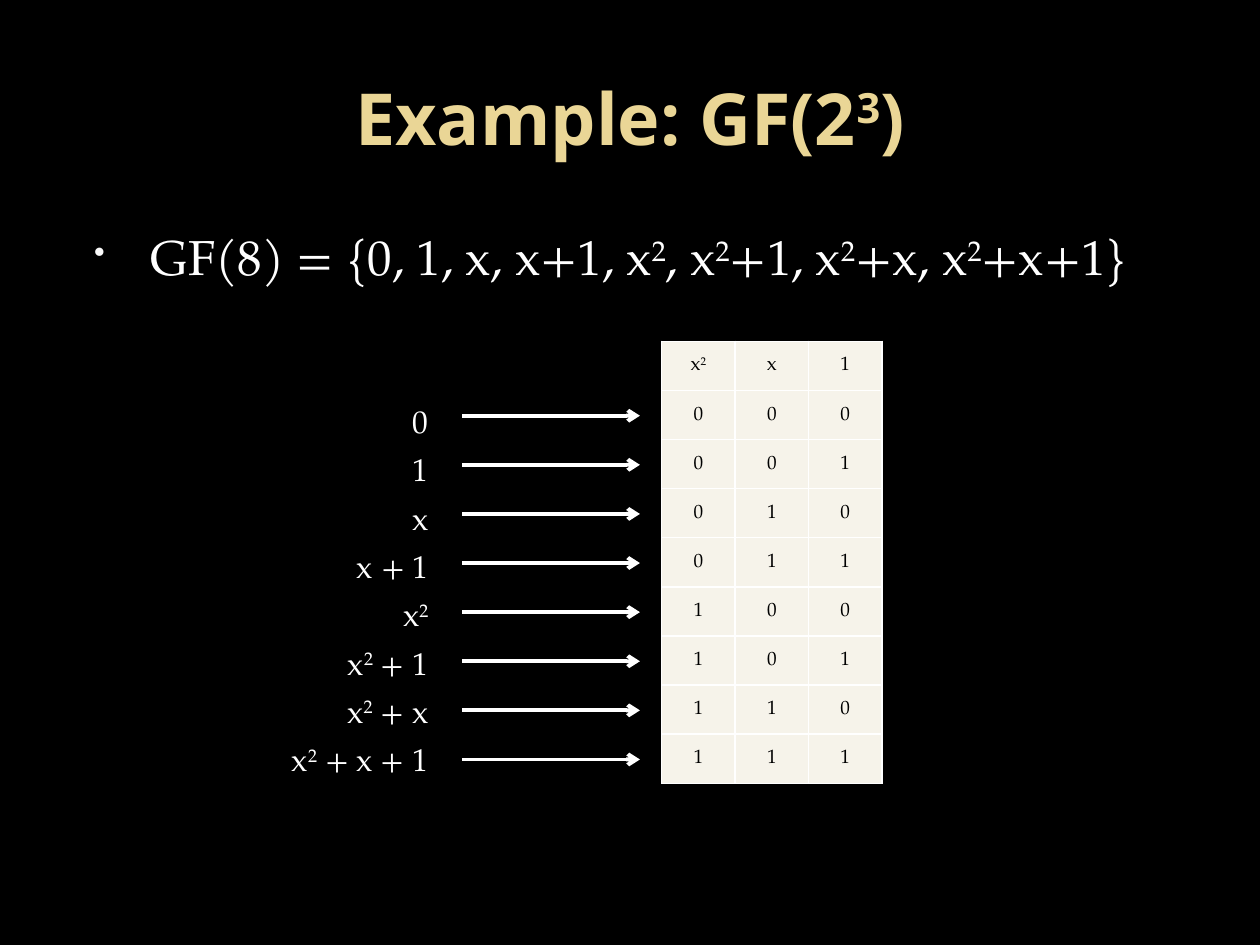
"""Build a slide that maps the elements of GF(8) to bit patterns."""
import itertools

import lxml.etree
import pptx
import pptx.dml.color
import pptx.enum.shapes
import pptx.enum.text
import pptx.oxml.ns
import pptx.util

Cm = pptx.util.Cm
Pt = pptx.util.Pt
Color = pptx.dml.color.RGBColor
Align = pptx.enum.text.PP_ALIGN
Anchor = pptx.enum.text.MSO_ANCHOR
qn = pptx.oxml.ns.qn

BLACK = Color(0, 0, 0)
WHITE = Color(255, 255, 255)
GOLD = Color(0xEA, 0xD6, 0x96)
CREAM = Color(0xF6, 0xF3, 0xEA)
PALE = Color(0xF9, 0xF9, 0xF9)
SERIF = "TeX Gyre Pagella"
SANS = "Open Sans"

TERMS = ["0", "1", "x", "x + 1", "x^2", "x^2 + 1", "x^2 + x", "x^2 + x + 1"]
STEP = 0.99


def add_node(parent, tag, **attrs):
    """Append a drawing element to its parent."""
    return lxml.etree.SubElement(parent, qn(tag), attrs)


def add_math(para, text, size, color, face=SERIF, bold=False):
    """Write text in which a caret raises the next digit."""
    first, *rest = text.split("^")
    parts = [(first, False)]
    for piece in rest:
        parts += [(piece[0], True), (piece[1:], False)]
    for part, high in parts:
        if not part:
            continue
        run = para.add_run()
        run.text = part
        font = run.font
        font.name, font.size, font.bold = face, Pt(size), bold
        font.color.rgb = color
        if high:
            font._element.set("baseline", "30000")


def add_box(slide, left, top, width, height, anchor=Anchor.TOP):
    """Add a wrapping text box and return its frame."""
    box = slide.shapes.add_textbox(Cm(left), Cm(top), Cm(width), Cm(height))
    frame = box.text_frame
    frame.word_wrap = True
    frame.vertical_anchor = anchor
    return frame


def add_title(slide):
    """Add the centred heading."""
    para = add_box(slide, 1.27, 0.76, 22.86, 3.18, Anchor.MIDDLE).paragraphs[0]
    para.alignment = Align.CENTER
    add_math(para, "Example: GF(2^3)", 41, GOLD, SANS, True)


def add_bullet(slide):
    """Add the bulleted list of field elements."""
    para = add_box(slide, 1.27, 4.45, 22.86, 13.08).paragraphs[0]
    para.space_before = Pt(5.6)
    props = para._p.get_or_add_pPr()
    props.set("marL", str(Cm(1.52)))
    props.set("indent", str(Cm(-1.14)))
    add_node(add_node(props, "a:buClr"), "a:srgbClr", val=str(PALE))
    add_node(props, "a:buSzPct", val="65000")
    add_node(props, "a:buChar", char="\u2022")
    terms = ", ".join(TERMS).replace(" + ", "+")
    add_math(para, "GF(8) = {" + terms + "}", 28, WHITE)


def add_labels(slide):
    """Add the right-aligned column of polynomials."""
    frame = add_box(slide, 5.08, 7.98, 3.81, 7.9)
    for row, term in enumerate(TERMS):
        para = frame.add_paragraph() if row else frame.paragraphs[0]
        para.alignment = Align.RIGHT
        para.space_before = Pt(6)
        add_math(para, term, 18, WHITE)


def add_arrow(slide, top):
    """Add one arrow from a polynomial to its row of bits."""
    kind = pptx.enum.shapes.MSO_CONNECTOR.STRAIGHT
    arrow = slide.shapes.add_connector(kind, Cm(9.32), Cm(top), Cm(12.9), Cm(top))
    arrow.line.color.rgb = WHITE
    arrow.line.width = Pt(2.25)
    add_node(arrow.line._get_or_add_ln(), "a:tailEnd", type="arrow")
    add_node(arrow._element.spPr, "a:effectLst")


def style_cell(cell, text):
    """Fill, frame and label one table cell."""
    cell.margin_left = cell.margin_right = cell.margin_top = Cm(0.03)
    cell.margin_bottom = 0
    cell.vertical_anchor = Anchor.MIDDLE
    props = cell._tc.get_or_add_tcPr()
    for side in ("L", "R", "T", "B"):
        edge = add_node(props, "a:ln" + side, w=str(Pt(1)))
        add_node(add_node(edge, "a:solidFill"), "a:srgbClr", val=str(WHITE))
    cell.fill.solid()
    cell.fill.fore_color.rgb = CREAM
    para = cell.text_frame.paragraphs[0]
    para.alignment = Align.CENTER
    add_math(para, text, 11, BLACK)


def add_bits(slide):
    """Add the table that counts in binary under the powers of x."""
    rows = [("x^2", "x", "1"), *itertools.product("01", repeat=3)]
    table = slide.shapes.add_table(
        len(rows), 3, Cm(13.34), Cm(6.88), Cm(4.45), Cm(8.89)).table
    table.first_row = table.horz_banding = False
    for col in table.columns:
        col.width = Cm(1.48)
    for num, row in enumerate(rows):
        table.rows[num].height = Cm(STEP)
        for col, text in enumerate(row):
            style_cell(table.cell(num, col), text)


def main():
    """Build and save the slide."""
    deck = pptx.Presentation()
    deck.slide_width, deck.slide_height = Cm(25.4), Cm(19.05)
    slide = deck.slides.add_slide(deck.slide_layouts[6])
    slide.background.fill.solid()
    slide.background.fill.fore_color.rgb = BLACK
    add_title(slide)
    add_bullet(slide)
    add_bits(slide)
    add_labels(slide)
    for row in range(len(TERMS)):
        add_arrow(slide, 8.38 + row * STEP)
    deck.save("out.pptx")


main()
